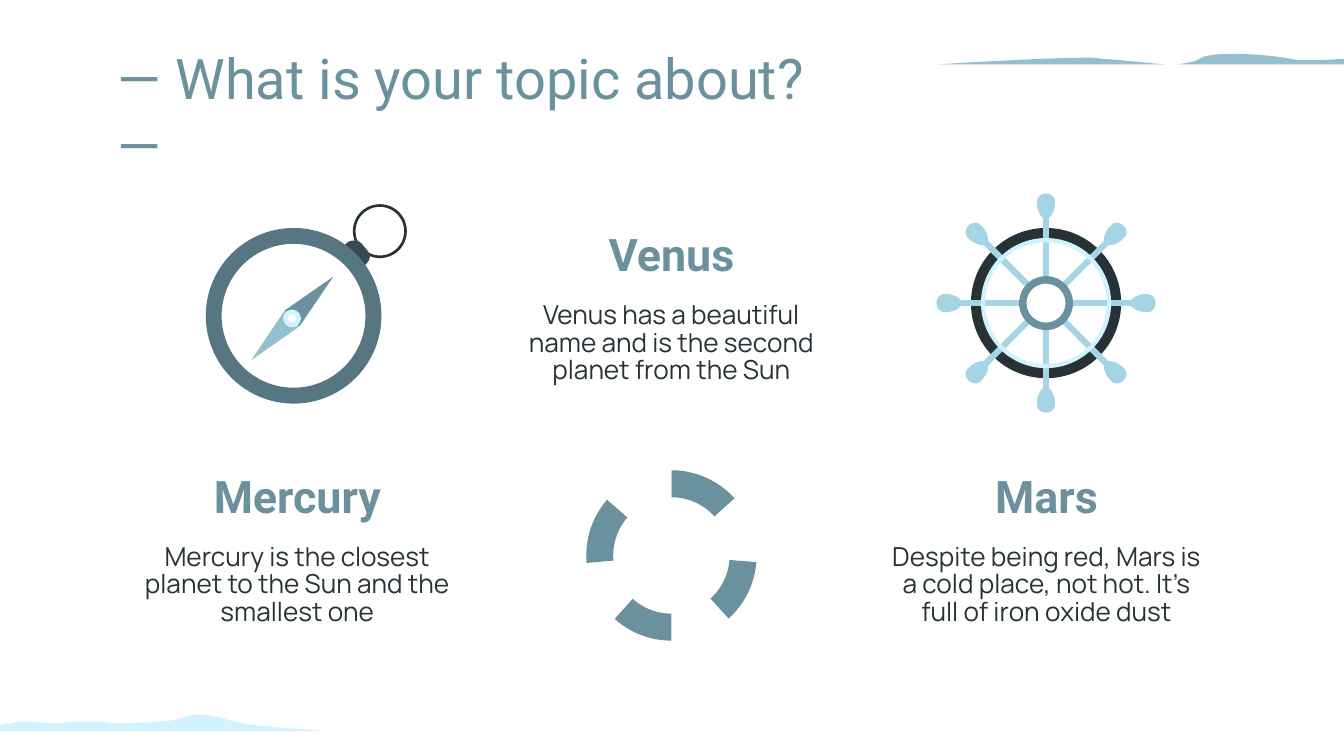
import math
from dataclasses import dataclass

from pptx import Presentation
from pptx import util as u
from pptx.dml.color import RGBColor
from pptx.enum import shapes, text
from pptx.shapes.autoshape import Shape
from pptx.slide import Slide

Point = tuple[float, float]
Outline = list[tuple[float, ...]]


@dataclass(frozen=True)
class Theme:
    slate: str = "6B919E"
    deep: str = "567682"
    cap: str = "354A50"
    ink: str = "263236"
    sea: str = "93BFCE"
    sky: str = "A5D5E5"
    foam: str = "D0F3FF"
    white: str = "FFFFFF"
    heading_font: str = "Roboto"
    body_font: str = "Manrope"
    title_size: int = 30
    name_size: int = 24
    fact_size: int = 14


@dataclass(frozen=True)
class Planet:
    name: str
    fact: str
    center: float
    top: float


@dataclass(frozen=True)
class Ring:
    center: Point
    radius: float
    thickness: float
    color: str


THEME = Theme()
BUOY = (12.69, 10.5)
WHEEL = (19.77, 5.73)
COMPASS = (5.55, 5.97)
PIVOT = (5.52, 6.02)

PLANETS = [
    Planet("Venus", "Venus has a beautiful name and is the second planet from the Sun", 12.69, 4.37),
    Planet("Mercury", "Mercury is the closest planet to the Sun and the smallest one", 5.62, 8.94),
    Planet("Mars", "Despite being red, Mars is a cold place, not hot. It’s full of iron oxide dust", 19.78, 8.94),
]

TOP_WAVES: list[Outline] = [
    [(20.57, 1.09), (19.69, 1.09, 17.7, 1.22, 17.7, 1.22), (22.02, 1.22),
     (21.67, 1.19, 21.23, 1.14, 20.93, 1.12), (20.83, 1.12, 20.73, 1.09, 20.57, 1.09)],
    [(23.32, 1.02), (23.01, 1.02, 22.76, 1.04, 22.66, 1.12), (22.58, 1.17, 22.43, 1.19, 22.25, 1.22),
     (29.13, 1.22), (28.88, 1.17, 28.63, 1.12, 28.37, 1.12), (28.22, 1.12, 27.51, 1.14, 26.92, 1.14),
     (26.64, 1.14, 26.39, 1.14, 26.26, 1.12), (26.19, 1.09, 26.09, 1.09, 25.96, 1.09),
     (25.6, 1.09, 25.12, 1.14, 24.77, 1.14), (24.64, 1.14, 24.51, 1.14, 24.43, 1.12),
     (24.21, 1.07, 23.72, 1.02, 23.32, 1.02)],
]
BOTTOM_WAVE: Outline = [
    (3.78, 13.51), (3.71, 13.51, 3.63, 13.51, 3.56, 13.54), (3.35, 13.64, 2.74, 13.67, 2.39, 13.67),
    (2.11, 13.67), (1.96, 13.64, 1.8, 13.64, 1.63, 13.64), (1.47, 13.64, 1.32, 13.64, 1.17, 13.67),
    (1.02, 13.67), (0.84, 13.67, 0.64, 13.64, 0.46, 13.64), (0.38, 13.64, 0.3, 13.64, 0.25, 13.67),
    (-0.03, 13.69, -0.51, 13.82, -0.51, 13.82), (6.17, 13.82),
    (6.17, 13.82, 4.88, 13.74, 4.55, 13.67), (4.29, 13.61, 4.01, 13.51, 3.78, 13.51),
]
CAP: Outline = [
    (6.45, 4.7), (6.55, 4.6), (6.6, 4.55, 6.65, 4.55, 6.71, 4.55), (6.76, 4.55, 6.8, 4.57, 6.83, 4.6),
    (6.93, 4.72), (7.01, 4.8, 7.01, 4.9, 6.93, 4.98), (6.83, 5.08),
]
SPOKE: Outline = [(0.42, -0.06), (1.95, -0.06), (1.95, 0.06), (0.42, 0.06)]
HANDLE: Outline = [
    (1.59, 0), (1.59, -0.09, 1.74, -0.17, 1.89, -0.17), (1.99, -0.18, 2.07, -0.11, 2.07, 0),
    (2.07, 0.11, 1.99, 0.18, 1.89, 0.17), (1.74, 0.17, 1.59, 0.09, 1.59, 0),
]


def flatten(outline: Outline, steps: int = 8) -> list[Point]:
    points: list[Point] = [outline[0]]
    for part in outline[1:]:
        if len(part) == 2:
            points.append(part)
            continue
        controls = [points[-1], part[:2], part[2:4], part[4:]]
        for step in range(1, steps + 1):
            t = step / steps
            weights = [math.comb(3, i) * t**i * (1 - t) ** (3 - i) for i in range(4)]
            points.append(tuple(sum(w * c[axis] for w, c in zip(weights, controls)) for axis in (0, 1)))
    return points


def polar(center: Point, radius: float, degrees: float) -> Point:
    angle = math.radians(degrees)
    return center[0] + radius * math.cos(angle), center[1] + radius * math.sin(angle)


def turn(outline: Outline, center: Point, degrees: float) -> list[Point]:
    return [polar(center, math.hypot(x, y), degrees + math.degrees(math.atan2(y, x)))
            for x, y in flatten(outline)]


def paint(shape: Shape, color: str) -> None:
    shape.shadow.inherit = False
    shape.fill.solid()
    shape.fill.fore_color.rgb = RGBColor.from_string(color)
    shape.line.fill.background()


def draw_outline(slide: Slide, contours: list[list[Point]], color: str) -> None:
    scaled = [[(u.Cm(x), u.Cm(y)) for x, y in contour] for contour in contours]
    builder = slide.shapes.build_freeform(*scaled[0][0], scale=1.0)
    builder.add_line_segments(scaled[0][1:], close=True)
    for contour in scaled[1:]:
        builder.move_to(*contour[0])
        builder.add_line_segments(contour[1:], close=True)
    paint(builder.convert_to_shape(), color)


def draw_round(slide: Slide, kind: shapes.MSO_SHAPE, center: Point, radius: float, color: str) -> Shape:
    disc = slide.shapes.add_shape(
        kind, u.Cm(center[0] - radius), u.Cm(center[1] - radius), u.Cm(2 * radius), u.Cm(2 * radius))
    paint(disc, color)
    return disc


def draw_disc(slide: Slide, center: Point, radius: float, color: str) -> None:
    draw_round(slide, shapes.MSO_SHAPE.OVAL, center, radius, color)


def draw_ring(slide: Slide, ring: Ring) -> None:
    donut = draw_round(slide, shapes.MSO_SHAPE.DONUT, ring.center, ring.radius, ring.color)
    donut.adjustments[0] = ring.thickness / (2 * ring.radius)


def write(slide: Slide, words: str, left: float, top: float, width: float, height: float,
          font: str, size: int, color: str, bold: bool = False, centered: bool = True,
          spacing: float = 1.0, after: int = 0) -> None:
    frame = slide.shapes.add_textbox(u.Cm(left), u.Cm(top), u.Cm(width), u.Cm(height)).text_frame
    frame.word_wrap = True
    frame.vertical_anchor = text.MSO_ANCHOR.MIDDLE
    paragraph = frame.paragraphs[0]
    paragraph.text = words
    paragraph.alignment = text.PP_ALIGN.CENTER if centered else text.PP_ALIGN.LEFT
    paragraph.line_spacing = spacing
    paragraph.space_after = u.Pt(after)
    paragraph.font.name = font
    paragraph.font.size = u.Pt(size)
    paragraph.font.bold = bold
    paragraph.font.color.rgb = RGBColor.from_string(color)


def draw_planet(slide: Slide, planet: Planet) -> None:
    write(slide, planet.name, planet.center - 2.32, planet.top, 4.64, 0.86,
          THEME.heading_font, THEME.name_size, THEME.slate, bold=True)
    write(slide, planet.fact, planet.center - 3.25, planet.top + 1.19, 6.5, 1.88,
          THEME.body_font, THEME.fact_size, THEME.ink, spacing=0.88, after=12)


def draw_buoy(slide: Slide) -> None:
    edges = [-90, -42, 4.5, 48, 90, 132, 175, 221, 270]
    for index, (start, end) in enumerate(zip(edges, edges[1:])):
        angles = [start + (end - start) * step / 12 for step in range(13)]
        outer = [polar(BUOY, 1.61, angle) for angle in angles]
        inner = [polar(BUOY, 1.1, angle) for angle in reversed(angles)]
        draw_outline(slide, [outer + inner], THEME.white if index % 2 else THEME.slate)


def draw_compass(slide: Slide) -> None:
    draw_ring(slide, Ring((7.18, 4.37), 0.51, 0.05, THEME.ink))
    draw_outline(slide, [flatten(CAP)], THEME.cap)
    draw_ring(slide, Ring(COMPASS, 1.66, 0.3, THEME.deep))
    for tip, color in (((6.3, 5.23), THEME.slate), ((4.75, 6.81), THEME.sea)):
        draw_outline(slide, [[tip, (5.38, 5.87), (5.66, 6.17)]], color)
    draw_disc(slide, PIVOT, 0.17, THEME.foam)
    draw_disc(slide, PIVOT, 0.08, THEME.white)


def draw_wheel(slide: Slide) -> None:
    draw_ring(slide, Ring(WHEEL, 1.42, 0.22, THEME.ink))
    draw_disc(slide, WHEEL, 0.17, THEME.white)
    for degrees in range(0, 360, 45):
        for part in (SPOKE, HANDLE):
            draw_outline(slide, [turn(part, WHEEL, degrees)], THEME.sky)
    draw_ring(slide, Ring(WHEEL, 1.23, 0.08, THEME.foam))
    draw_ring(slide, Ring(WHEEL, 0.51, 0.14, THEME.slate))


def main() -> None:
    deck = Presentation()
    deck.slide_width, deck.slide_height = u.Cm(25.4), u.Cm(14.29)
    slide = deck.slides.add_slide(deck.slide_layouts[6])
    draw_outline(slide, [flatten(wave) for wave in TOP_WAVES], THEME.sea)
    draw_outline(slide, [flatten(BOTTOM_WAVE)], THEME.foam)
    write(slide, "— What is your topic about? —", 1.98, 1.5, 13.97, 1.19,
          THEME.heading_font, THEME.title_size, THEME.slate, centered=False)
    for planet in PLANETS:
        draw_planet(slide, planet)
    draw_buoy(slide)
    draw_compass(slide)
    draw_wheel(slide)
    deck.save("out.pptx")


if __name__ == "__main__":
    main()
